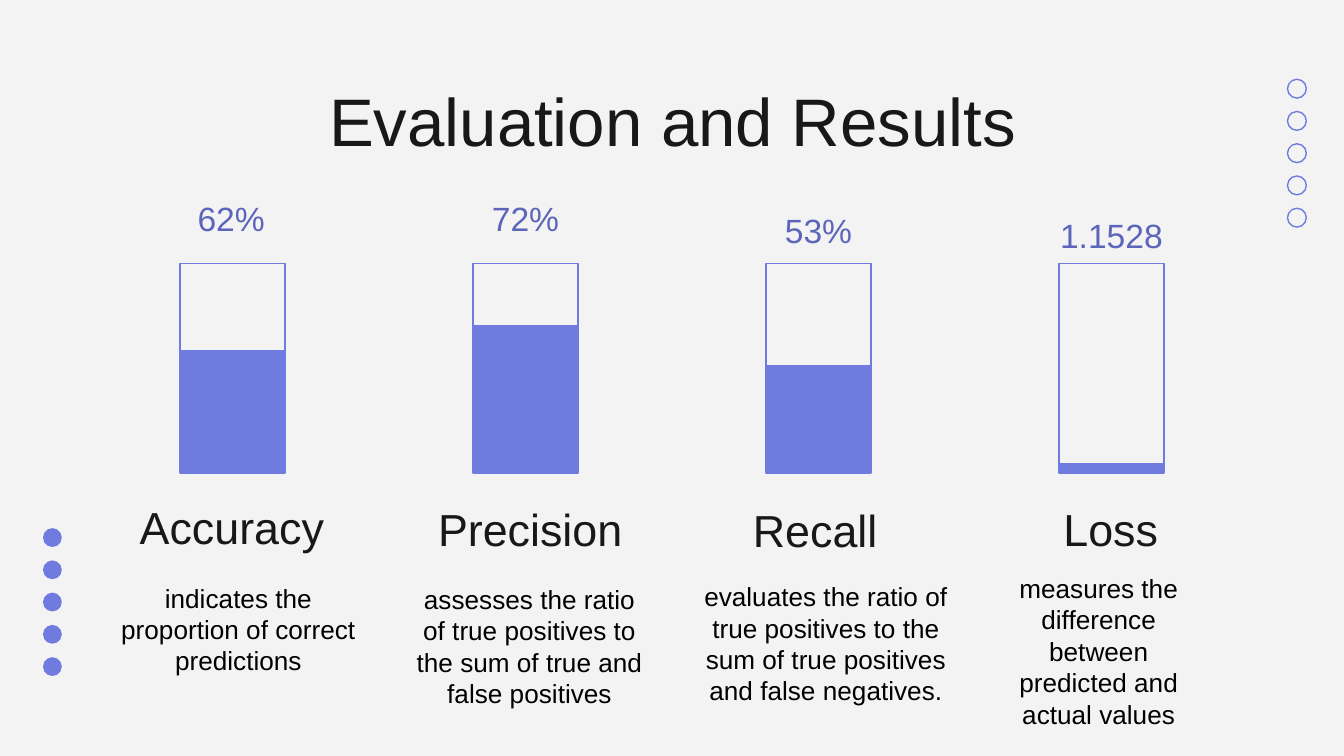
from pptx import Presentation
from pptx.util import Inches, Pt
from pptx.dml.color import RGBColor
from pptx.enum.shapes import MSO_SHAPE
from pptx.enum.text import MSO_ANCHOR, PP_ALIGN

PAPER = RGBColor(0xF3, 0xF3, 0xF3)
BLUE = RGBColor(0x70, 0x7B, 0xE0)
INDIGO = RGBColor(0x5D, 0x65, 0xBB)
INK = RGBColor(0x18, 0x18, 0x18)
BLACK = RGBColor(0, 0, 0)

deck = Presentation()
deck.slide_width = Inches(10)
deck.slide_height = deck.slide_width * 9 // 16
slide = deck.slides.add_slide(deck.slide_layouts[5])
slide.background.fill.solid()
slide.background.fill.fore_color.rgb = PAPER


def write(box, text, size, color, anchor, left=0.1, right=0.1):
    frame = box.text_frame
    frame.text = text
    frame.word_wrap = True
    frame.vertical_anchor = anchor
    frame.margin_left, frame.margin_right = Inches(left), Inches(right)
    frame.margin_top = frame.margin_bottom = Inches(0.1)
    para = frame.paragraphs[0]
    para.alignment = PP_ALIGN.CENTER
    para.font.name, para.font.size = "Arial", Pt(size)
    para.font.color.rgb = color


def draw(kind, area, fill=True, line=True):
    shape = slide.shapes.add_shape(kind, *map(Inches, area))
    shape.shadow.inherit = False
    if fill:
        shape.fill.solid()
        shape.fill.fore_color.rgb = BLUE
    else:
        shape.fill.background()
    if line:
        shape.line.color.rgb = BLUE
        shape.line.width = Pt(0.75)
    else:
        shape.line.fill.background()


for i in range(5):
    draw(MSO_SHAPE.OVAL, (0.32, 3.93 + 0.24 * i, 0.14, 0.14), line=False)
    draw(MSO_SHAPE.OVAL, (9.58, 0.59 + 0.24 * i, 0.14, 0.14), fill=False)

title = slide.shapes.title
title.left, title.top = Inches(0.79), Inches(0.49)
title.width, title.height = Inches(8.43), Inches(0.63)
write(title, "Evaluation and Results", 36, INK, MSO_ANCHOR.TOP)

metrics = [
    ("62%", (1.33, 1.42, 0.78, 0.4), 0.9,
     "Accuracy", (0.69, 3.75, 2.07, 0.47),
     "indicates the proportion of correct predictions",
     (0.78, 4.23, 2.07, 1.11), 0.1, 0.18),
    ("72%", (3.52, 1.42, 0.78, 0.4), 1.09,
     "Precision", (2.91, 3.76, 2.07, 0.47),
     "assesses the ratio of true positives to the sum of true and false positives",
     (2.79, 4.24, 2.3, 1.28), 0.3, 0.3),
    ("53%", (5.7, 1.51, 0.78, 0.4), 0.79,
     "Recall", (5.03, 3.72, 2.07, 0.52),
     "evaluates the ratio of true positives to the sum of true positives and false negatives.",
     (4.82, 4.22, 2.65, 0.84), 0.3, 0.3),
    ("1.1528", (7.74, 1.57, 1.06, 0.36), 0.06,
     "Loss", (7.23, 3.76, 2.07, 0.47),
     "measures the difference between predicted and actual values",
     (7.14, 4.16, 2.07, 0.84), 0.3, 0.3),
]
for i, (score, spot, level, name, head, note, body, left, right) in enumerate(metrics):
    x = 1.34 + 2.18 * i
    draw(MSO_SHAPE.RECTANGLE, (x, 1.96, 0.78, 1.56), fill=False)
    draw(MSO_SHAPE.RECTANGLE, (x, 3.51 - level, 0.78, level))
    for area, text, size, color, anchor, pad in (
        (spot, score, 18, INDIGO, MSO_ANCHOR.MIDDLE, ()),
        (head, name, 24, INK, MSO_ANCHOR.BOTTOM, ()),
        (body, note, 14, BLACK, MSO_ANCHOR.TOP, (left, right)),
    ):
        box = slide.shapes.add_textbox(*map(Inches, area))
        write(box, text, size, color, anchor, *pad)

deck.save("out.pptx")
